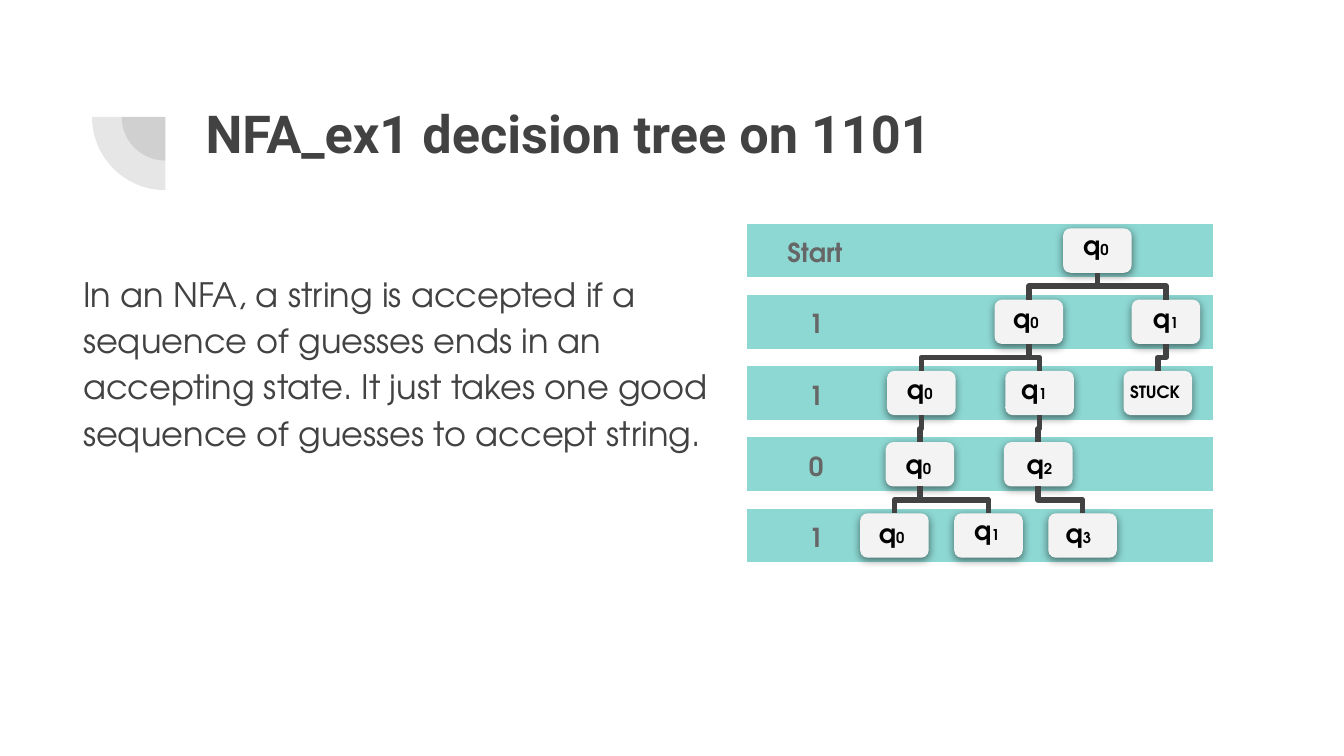
import lxml.etree
import pptx
import pptx.dml.color
import pptx.enum.shapes
import pptx.enum.text
import pptx.oxml.ns
import pptx.util

Inches = pptx.util.Inches
Pt = pptx.util.Pt
SHAPES = pptx.enum.shapes.MSO_SHAPE

TEXT_FONT = "TeX Gyre Adventor"
DARK = "424242"
ROW_PITCH = 0.53
NODE_WIDTH = 0.51
NODE_HEIGHT = 0.33

ROW_LABELS = [("Start", 0.21), ("1", 0.37), ("1", 0.37), ("0", 0.37), ("1", 0.37)]

NODES = {
    "root": (0, 2.36, "q0", 0.05, -0.09),
    "1 stay": (1, 1.85, "q0", 0.04, -0.08),
    "1 move": (1, 2.87, "q1", 0.06, -0.08),
    "11 move": (2, 1.93, "q1", 0.02, -0.08),
    "11 stay": (2, 1.05, "q0", 0.05, -0.08),
    "stuck": (2, 2.81, "STUCK", -0.05, -0.02),
    "110 move": (3, 1.92, "q2", 0.07, -0.05),
    "110 stay": (3, 1.04, "q0", 0.05, -0.05),
    "1101 stay": (4, 0.85, "q0", 0.04, -0.07),
    "1101 move": (4, 1.55, "q1", 0.05, -0.09),
    "accept": (4, 2.25, "q3", 0.03, -0.07),
}

BRANCHES = [
    ("root", "1 stay"),
    ("root", "1 move"),
    ("1 move", "stuck"),
    ("1 stay", "11 move"),
    ("1 stay", "11 stay"),
    ("11 stay", "110 stay"),
    ("11 move", "110 move"),
    ("110 stay", "1101 move"),
    ("110 stay", "1101 stay"),
    ("110 move", "accept"),
]


def color(value):
    """Return an RGB colour from a hex string."""
    return pptx.dml.color.RGBColor.from_string(value)


def style_font(font, name, size, value, bold=False):
    """Set face, size, colour and weight of a font."""
    font.name = name
    font.size = Pt(size)
    font.color.rgb = color(value)
    font.bold = bold


def add_shape(slide, kind, left, top, width, height, fill):
    """Add a filled shape without outline or shadow."""
    shape = slide.shapes.add_shape(kind, Inches(left), Inches(top), Inches(width), Inches(height))
    shape.shadow.inherit = False
    shape.fill.solid()
    shape.fill.fore_color.rgb = color(fill)
    shape.line.fill.background()
    return shape


def set_frame(frame):
    """Give a text frame equal insets, wrapping and top anchoring."""
    frame.margin_left = frame.margin_right = Inches(0.1)
    frame.margin_top = frame.margin_bottom = Inches(0.1)
    frame.auto_size = pptx.enum.text.MSO_AUTO_SIZE.NONE
    frame.word_wrap = True
    frame.vertical_anchor = pptx.enum.text.MSO_ANCHOR.TOP


def add_text(slide, left, top, width, height, text, size, value, bold=False):
    """Add a text box and return its paragraph."""
    box = slide.shapes.add_textbox(Inches(left), Inches(top), Inches(width), Inches(height))
    set_frame(box.text_frame)
    paragraph = box.text_frame.paragraphs[0]
    paragraph.add_run().text = text
    style_font(paragraph.font, TEXT_FONT, size, value, bold)
    return paragraph


def add_ornament(slide, center_x, center_y):
    """Draw two translucent quarter circles around a shared centre."""
    for size in (0.65, 1.09):
        pie = add_shape(slide, SHAPES.PIE, center_x - size / 2, center_y - size / 2, size, size, DARK)
        pie.rotation = 270
        pie.adjustments[0] = 108
        pie.adjustments[1] = 162
        fill_color = pie._element.spPr.find(".//" + pptx.oxml.ns.qn("a:srgbClr"))
        lxml.etree.SubElement(fill_color, pptx.oxml.ns.qn("a:alpha"), val="13000")


def add_title(slide, left, top, width, height):
    """Place and format the title placeholder."""
    title = slide.shapes.title
    title.left, title.top = Inches(left), Inches(top)
    title.width, title.height = Inches(width), Inches(height)
    title.text_frame.text = "NFA_ex1 decision tree on 1101"
    set_frame(title.text_frame)
    paragraph = title.text_frame.paragraphs[0]
    paragraph.alignment = pptx.enum.text.PP_ALIGN.LEFT
    style_font(paragraph.font, "Roboto", 28, DARK, True)


def add_explanation(slide, left, top, width, height):
    """Add the paragraph that explains acceptance."""
    text = (
        "In an NFA, a string is accepted if a sequence of guesses ends in an accepting state. "
        "It just takes one good sequence of guesses to accept string."
    )
    paragraph = add_text(slide, left, top, width, height, text, 18, DARK)
    paragraph.line_spacing = 1.15
    paragraph.space_after = Pt(16)


def add_node(slide, left, top):
    """Add a rounded node with a soft shadow below it."""
    node = add_shape(slide, SHAPES.ROUNDED_RECTANGLE, left, top, NODE_WIDTH, NODE_HEIGHT, "F3F3F3")
    effects = node._element.spPr.find(pptx.oxml.ns.qn("a:effectLst"))
    shadow = lxml.etree.SubElement(
        effects, pptx.oxml.ns.qn("a:outerShdw"),
        blurRad=str(Pt(4.5)), dist=str(Pt(1.5)), dir="5400000", algn="bl", rotWithShape="0",
    )
    shade = lxml.etree.SubElement(shadow, pptx.oxml.ns.qn("a:srgbClr"), val="000000")
    lxml.etree.SubElement(shade, pptx.oxml.ns.qn("a:alpha"), val="50000")


def add_branch(slide, start_x, start_y, end_x, end_y):
    """Draw an elbow that leaves downward and enters from above."""
    rightward = end_x > start_x
    center_x, center_y = (start_x + end_x) / 2, (start_y + end_y) / 2
    half_drop, half_span = (end_y - start_y) / 2, abs(end_x - start_x) / 2
    reach = -half_drop if rightward else half_drop
    branch = slide.shapes.add_connector(
        pptx.enum.shapes.MSO_CONNECTOR.ELBOW,
        Inches(center_x - reach), Inches(center_y - half_span),
        Inches(center_x + reach), Inches(center_y + half_span),
    )
    properties = branch._element.spPr
    transform = properties.find(pptx.oxml.ns.qn("a:xfrm"))
    transform.set("rot", str((270 if rightward else 90) * 60000))
    branch.line.color.rgb = color(DARK)
    branch.line.width = Pt(3)
    lxml.etree.SubElement(properties, pptx.oxml.ns.qn("a:effectLst"))


def add_node_label(slide, left, top, text):
    """Write a state name with a small index, or the stuck mark."""
    if text == "STUCK":
        add_text(slide, left, top, 0.8, NODE_HEIGHT, text, 9, "000000", True)
        return
    paragraph = add_text(slide, left, top, NODE_WIDTH, NODE_HEIGHT, text[0], 14, "000000", True)
    index = paragraph.add_run()
    index.text = text[1:]
    index.font.size = Pt(8)


def add_tree(slide, left, top, width):
    """Draw the input bands with the decision tree over them."""
    for row in range(len(ROW_LABELS)):
        band = add_shape(slide, SHAPES.RECTANGLE, left, top + row * ROW_PITCH, width, 0.41, "8DD8D3")
        band.line.color.rgb = color("FFFFFF")
        band.line.width = Pt(0.75)
    for row, (label, offset) in enumerate(ROW_LABELS):
        add_text(slide, left + offset, top + row * ROW_PITCH, 0.73, 0.23, label, 14, "666666", True)
    corners = {
        name: (left + node[1], top + 0.04 + node[0] * ROW_PITCH) for name, node in NODES.items()
    }
    for corner in corners.values():
        add_node(slide, *corner)
    for parent, child in BRANCHES:
        start_x, start_y = corners[parent]
        end_x, end_y = corners[child]
        add_branch(slide, start_x + NODE_WIDTH / 2, start_y + NODE_HEIGHT, end_x + NODE_WIDTH / 2, end_y)
    for name, (row, column, text, shift_x, shift_y) in NODES.items():
        node_left, node_top = corners[name]
        add_node_label(slide, node_left + shift_x, node_top + shift_y, text)


def main():
    """Build and save the slide."""
    presentation = pptx.Presentation()
    presentation.slide_width = Inches(10)
    presentation.slide_height = presentation.slide_width * 9 // 16
    slide = presentation.slides.add_slide(presentation.slide_layouts[5])
    add_ornament(slide, 1.23, 0.87)
    add_title(slide, 1.43, 0.65, 7.69, 1.09)
    add_explanation(slide, 0.52, 1.89, 4.88, 2.64)
    add_tree(slide, 5.55, 1.66, 3.48)
    presentation.save("out.pptx")


if __name__ == "__main__":
    main()
